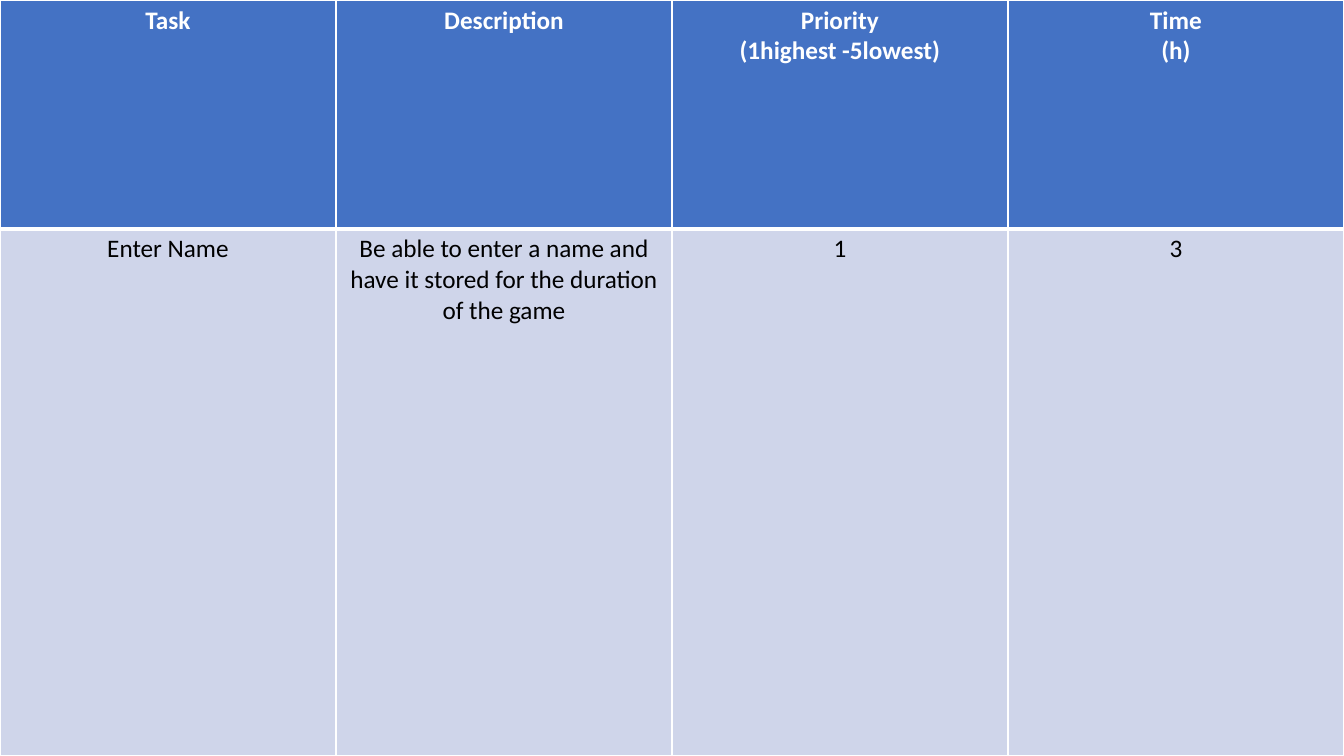
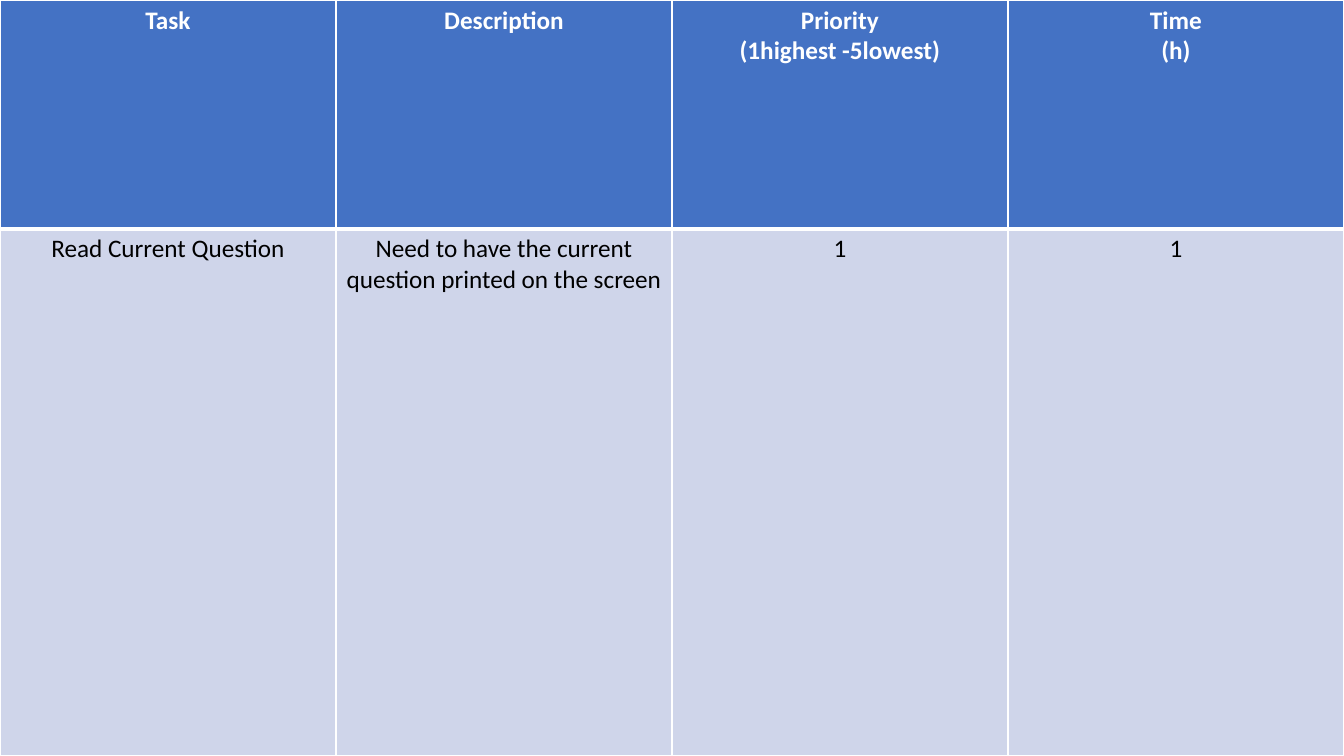
from lxml import etree
from pptx import Presentation
from pptx.dml.color import RGBColor
from pptx.enum import text
from pptx.oxml import ns
from pptx.util import Pt

WIDE, HIGH = 960, 540
HEAD_H = 163.5
FONT, SIZE = "Calibri", 18
WHITE, BLACK, BLUE, PALE = "FFFFFF", "000000", "4472C4", "CFD5EA"
THIN, THICK = 1, 3
HEADS = ["Task", "Description", "Priority\n(1highest -5lowest)", "Time\n(h)"]
TASKS = [
    ["Enter Name",
     "Be able to enter a name and have it stored for the duration of the game",
     "1", "3"],
    ["Read Current Question",
     "Need to have the current question printed on the screen",
     "1", "1"],
]


def color(code):
    return RGBColor.from_string(code)


def border(cell, side, width):
    props = cell._tc.get_or_add_tcPr()
    line = etree.SubElement(props, ns.qn("a:ln" + side), w=str(Pt(width)))
    fill = etree.SubElement(line, ns.qn("a:solidFill"))
    etree.SubElement(fill, ns.qn("a:srgbClr"), val=WHITE)


def write(cell, words, ink, bold):
    frame = cell.text_frame
    for i, part in enumerate(words.split("\n")):
        para = frame.add_paragraph() if i else frame.paragraphs[0]
        para.alignment = text.PP_ALIGN.CENTER
        run = para.add_run()
        run.text = part
        run.font.name = FONT
        run.font.size = Pt(SIZE)
        run.font.bold = bold
        run.font.color.rgb = color(ink)


def fill_row(table, row, words, back, ink, bold, top, base):
    for cell, label in zip(table.rows[row].cells, words):
        for side, width in zip("LRTB", (THIN, THIN, top, base)):
            border(cell, side, width)
        cell.fill.solid()
        cell.fill.fore_color.rgb = color(back)
        write(cell, label, ink, bold)


def add_task(deck, task):
    slide = deck.slides.add_slide(deck.slide_layouts[6])
    table = slide.shapes.add_table(
        2, len(HEADS), Pt(0), Pt(0), Pt(WIDE), Pt(HIGH)).table
    for col in table.columns:
        col.width = Pt(WIDE / len(HEADS))
    for row, height in zip(table.rows, (HEAD_H, HIGH - HEAD_H)):
        row.height = Pt(height)
    fill_row(table, 0, HEADS, BLUE, WHITE, True, THIN, THICK)
    fill_row(table, 1, task, PALE, BLACK, False, THICK, THIN)


def main():
    deck = Presentation()
    deck.slide_width, deck.slide_height = Pt(WIDE), Pt(HIGH)
    for task in TASKS:
        add_task(deck, task)
    deck.save("out.pptx")


main()
